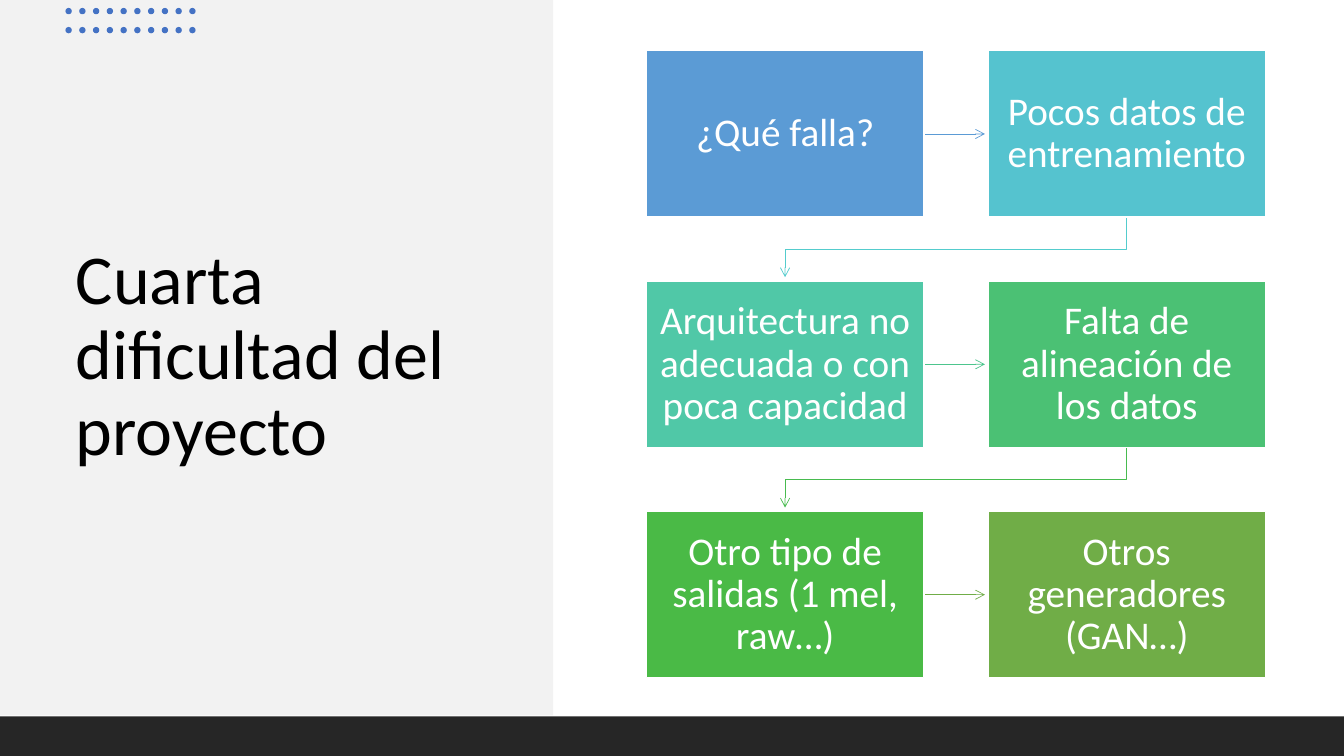
import pptx
import pptx.util
import pptx.dml.color
import pptx.enum.shapes
import pptx.enum.text
import pptx.oxml
import pptx.oxml.ns
from pptx.util import Cm

SHAPE = pptx.enum.shapes.MSO_SHAPE
ALIGN = pptx.enum.text.PP_ALIGN
STEPS = [
    ("¿Qué falla?", "5B9BD5"),
    ("Pocos datos de entrenamiento", "55C3CF"),
    ("Arquitectura no adecuada o con poca capacidad", "50C8A7"),
    ("Falta de alineación de los datos", "4BC174"),
    ("Otro tipo de salidas (1 mel, raw…)", "4ABA46"),
    ("Otros generadores (GAN…)", "70AD47"),
]
ARROW_COLORS = ["5B9BD5", "54CCCD", "4DC58D", "48BB4F", "70AD47"]


def rgb(color):
    """Turn a hex string into a colour."""
    return pptx.dml.color.RGBColor.from_string(color)


def add_block(slide, kind, left, top, width, height, fill, outline=None):
    """Add a flat preset shape, outlined only when a colour is given."""
    block = slide.shapes.add_shape(kind, Cm(left), Cm(top), Cm(width), Cm(height))
    block.shadow.inherit = False
    block.fill.solid()
    block.fill.fore_color.rgb = rgb(fill)
    if outline:
        block.line.color.rgb = rgb(outline)
        block.line.width = pptx.util.Pt(1)
    else:
        block.line.fill.background()
    return block


def write_text(shape, words, size, color, align, inset):
    """Write one vertically centred paragraph into a shape."""
    side, edge = (Cm(value) for value in inset)
    frame_format = {
        "word_wrap": True,
        "vertical_anchor": pptx.enum.text.MSO_ANCHOR.MIDDLE,
        "margin_left": side,
        "margin_right": side,
        "margin_top": edge,
        "margin_bottom": edge,
    }
    for name, value in frame_format.items():
        setattr(shape.text_frame, name, value)
    paragraph = shape.text_frame.paragraphs[0]
    paragraph.text = words
    for name, value in {"alignment": align, "line_spacing": 0.9}.items():
        setattr(paragraph, name, value)
    for name, value in {"name": "Calibri", "size": pptx.util.Pt(size)}.items():
        setattr(paragraph.font, name, value)
    paragraph.font.color.rgb = rgb(color)


def finish_arrow(arrow, color):
    """Give a line its colour, thin weight and open arrowhead, without shadow."""
    arrow.line.color.rgb = rgb(color)
    arrow.line.width = pptx.util.Pt(0.5)
    properties = arrow.element.spPr
    outline = properties.find(pptx.oxml.ns.qn("a:ln"))
    namespace = pptx.oxml.ns.nsdecls("a")
    outline.append(pptx.oxml.parse_xml(f'<a:tailEnd {namespace} type="arrow"/>'))
    properties.append(pptx.oxml.parse_xml(f"<a:effectLst {namespace}/>"))


def add_title_panel(slide, left, top, width, height):
    """Place the grey panel with the slide title."""
    add_block(slide, SHAPE.RECTANGLE, left, top, width, height, "F2F2F2")
    title = slide.shapes.add_textbox(
        Cm(left + 1.66), Cm(top + 3.35), Cm(width - 3.17), Cm(11.3))
    write_text(title, "Cuarta dificultad del proyecto", 50, "000000",
               ALIGN.LEFT, (0.25, 0.13))


def add_dots(slide, left, top, width, height):
    """Fill a box with two rows of ten dots."""
    columns, rows, dot = 10, 2, 0.16
    for row in range(rows):
        for column in range(columns):
            add_block(slide, SHAPE.OVAL,
                      left + column * (width - dot) / (columns - 1),
                      top + row * (height - dot) / (rows - 1),
                      dot, dot, "4472C4")


def add_process(slide, left, top, width, height):
    """Lay the steps out in two columns, linked in reading order."""
    step_width, step_height = 6.99, 4.19
    column_pitch = width - step_width
    row_pitch = (height - step_height) / 2
    corners = [(left + index % 2 * column_pitch, top + index // 2 * row_pitch)
               for index in range(len(STEPS))]
    for index, color in enumerate(ARROW_COLORS):
        x, y = corners[index]
        next_x, next_y = corners[index + 1]
        if y == next_y:
            middle = Cm(y + step_height / 2)
            arrow = slide.shapes.add_connector(
                pptx.enum.shapes.MSO_CONNECTOR.STRAIGHT,
                Cm(x + step_width + 0.04), middle, Cm(next_x - 0.08), middle)
        else:
            start_x, end_x = x + step_width / 2, next_x + step_width / 2
            bottom = y + step_height
            turn = (bottom + next_y) / 2
            route = [(start_x, turn), (end_x, turn), (end_x, next_y - 0.1)]
            builder = slide.shapes.build_freeform(Cm(start_x), Cm(bottom))
            builder.add_line_segments(
                [(Cm(point_x), Cm(point_y)) for point_x, point_y in route],
                close=False)
            arrow = builder.convert_to_shape()
            arrow.fill.background()
        finish_arrow(arrow, color)
    for (x, y), (words, color) in zip(corners, STEPS):
        step = add_block(slide, SHAPE.RECTANGLE, x, y, step_width, step_height,
                         color, "FFFFFF")
        write_text(step, words, 28, "FFFFFF", ALIGN.CENTER, (0.34, 0.36))


def main():
    """Build the slide and save it."""
    deck = pptx.Presentation()
    deck.slide_width, deck.slide_height = Cm(33.87), Cm(19.05)
    slide = deck.slides.add_slide(deck.slide_layouts[6])
    add_title_panel(slide, 0, 0, 13.94, 18.03)
    add_dots(slide, 1.65, 0.2, 3.28, 0.64)
    add_block(slide, SHAPE.RECTANGLE, 0, 18.05, 33.87, 1, "262626")
    add_process(slide, 16.29, 1.28, 15.6, 15.8)
    deck.save("out.pptx")


if __name__ == "__main__":
    main()
